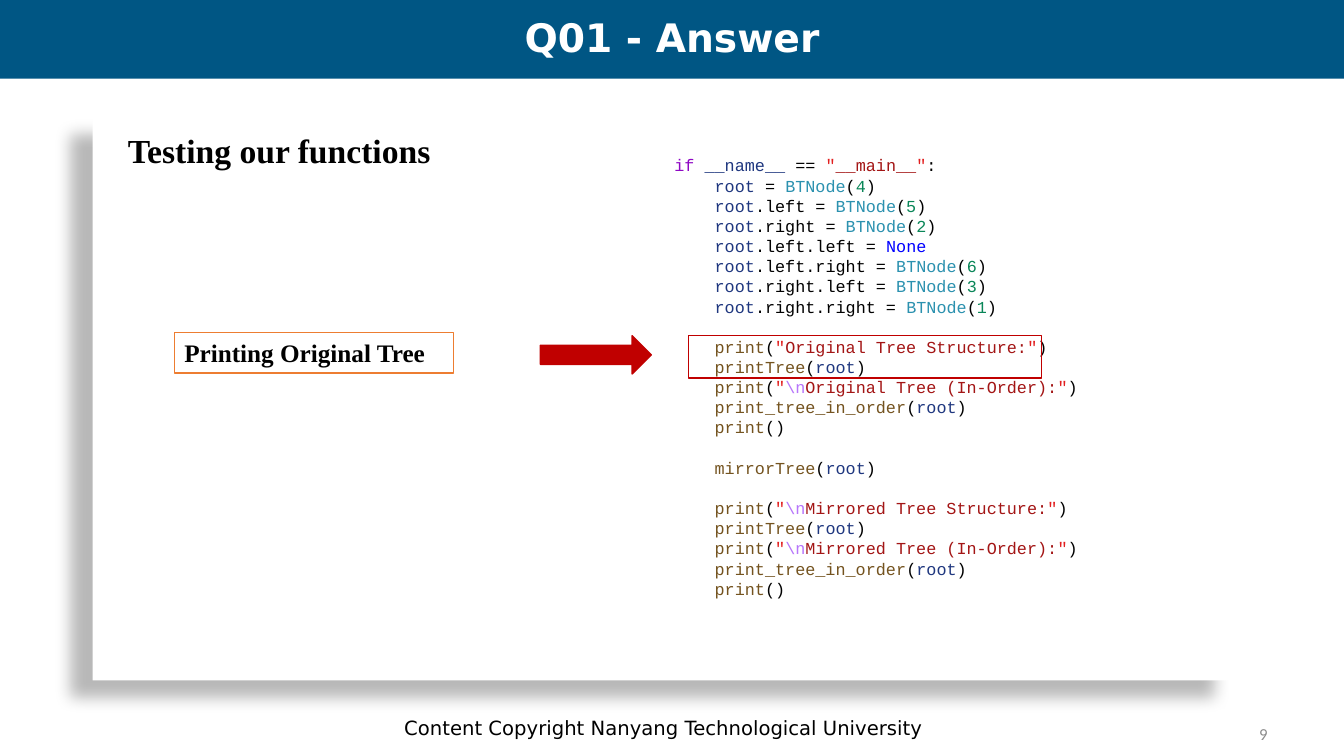
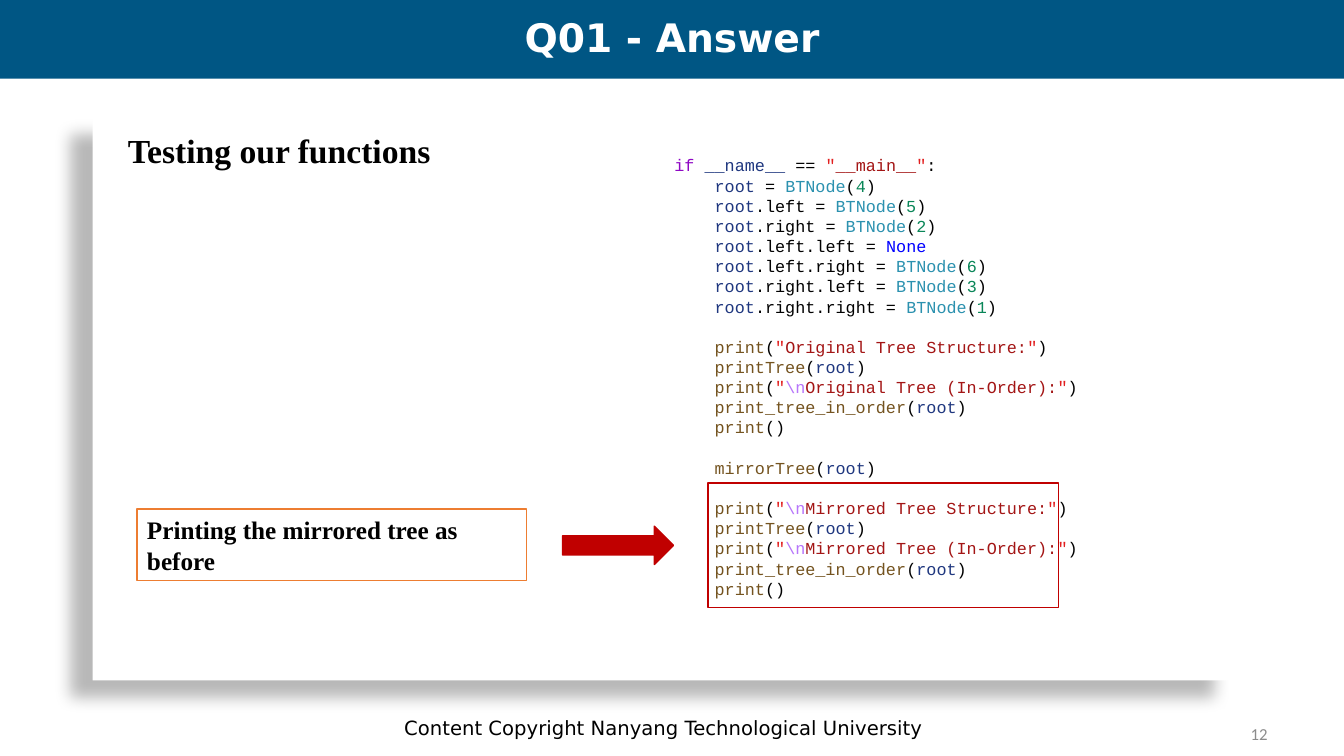
import dataclasses

import lxml.etree
import pptx
import pptx.dml.color
import pptx.enum.shapes
import pptx.enum.text
import pptx.oxml.ns
import pptx.util

SCALE = 9144  # EMU in one px, 100 px to the inch
KIND = pptx.enum.shapes.MSO_SHAPE
ALIGN = pptx.enum.text.PP_ALIGN
ANCHOR = pptx.enum.text.MSO_ANCHOR


@dataclasses.dataclass(frozen=True)
class Theme:
    band: str = "005684"
    white: str = "FFFFFF"
    ink: str = "000000"
    mute: str = "8C8C8C"
    edge: str = "ED7D31"
    mark: str = "C00000"
    key: str = "8F08C4"
    var: str = "1F377F"
    kind: str = "2B91AF"
    num: str = "098658"
    const: str = "0000FF"
    func: str = "74531F"
    quote: str = "E21F1F"
    text: str = "A31515"
    escape: str = "B776FB"
    sans: str = "DejaVu Sans"
    serif: str = "Times New Roman"
    mono: str = "Courier New"
    plain: str = "Calibri"
    title: int = 28
    head: int = 24
    label: int = 18
    foot: int = 14
    small: int = 12
    pitch: float = 14.4  # code line height


THEME = Theme()


def emu(box):
    return [pptx.util.Emu(px * SCALE) for px in box]


def rgb(code):
    return pptx.dml.color.RGBColor.from_string(code)


def add_run(para, text, font, size, color, bold=False):
    run = para.add_run()
    run.text = text
    run.font.name = font
    run.font.size = pptx.util.Pt(size)
    run.font.color.rgb = rgb(color)
    run.font.bold = bold


def add_text(slide, box, anchor=ANCHOR.MIDDLE):
    """Add an empty wrapping text box and return its frame."""
    frame = slide.shapes.add_textbox(*emu(box)).text_frame
    frame.word_wrap = True
    frame.vertical_anchor = anchor
    return frame


def add_line(slide, box, align, *style, anchor=ANCHOR.MIDDLE):
    """Add a text box that holds one run."""
    para = add_text(slide, box, anchor).paragraphs[0]
    para.alignment = align
    add_run(para, *style)
    return para


def add_shape(slide, kind, box, fill=None, line=None):
    shape = slide.shapes.add_shape(kind, *emu(box))
    shape.shadow.inherit = False
    if fill:
        shape.fill.solid()
        shape.fill.fore_color.rgb = rgb(fill)
    else:
        shape.fill.background()
    if line:
        shape.line.color.rgb = rgb(line)
        shape.line.width = pptx.util.Pt(1)
    else:
        shape.line.fill.background()
    return shape


def cast_shadow(shape, blur, dist, angle, alpha):
    tag = pptx.oxml.ns.qn
    effects = shape._element.spPr.find(tag("a:effectLst"))
    outer = lxml.etree.SubElement(
        effects, tag("a:outerShdw"), blurRad=str(pptx.util.Pt(blur)),
        dist=str(pptx.util.Pt(dist)), dir=str(angle * 60000),
        algn="tl", rotWithShape="0")
    color = lxml.etree.SubElement(outer, tag("a:srgbClr"), val=THEME.ink)
    lxml.etree.SubElement(color, tag("a:alpha"), val=str(alpha * 1000))


def add_frame(slide, box, number):
    """Add the panel, title band and footer within the slide box."""
    left, top, width, height = box
    panel = add_shape(slide, KIND.RECTANGLE,
                      (left + 92, top + 117, 1133, 558), THEME.white)
    cast_shadow(panel, 11.8, 19.7, 141, 28)
    add_shape(slide, KIND.RECTANGLE, (left, top, width, 78), THEME.band)
    title = add_line(slide, (left, top + 4, width, 71), ALIGN.CENTER,
                     "Q01 - Answer", THEME.sans, THEME.title, THEME.white, True)
    title.line_spacing = 0.9
    base = top + height
    add_line(slide, (left + 179, base - 48, 958, 40), ALIGN.CENTER,
             "Content Copyright Nanyang Technological University",
             THEME.sans, THEME.foot, THEME.ink)
    add_line(slide, (left + 956, base - 42, 311, 40), ALIGN.RIGHT,
             str(number), THEME.plain, THEME.small, THEME.mute)


def node(name, value):
    """Return the runs that set one tree node."""
    return [("var", "root"), ("ink", f"{name} = "), ("kind", "BTNode"),
            ("ink", "("), ("num", value), ("ink", ")")]


def call(name, arg=()):
    if not arg:
        return [("func", name), ("ink", "()")]
    return [("func", name), ("ink", "("), *arg, ("ink", ")")]


def say(text, *lead):
    return call("print", [("quote", '"'), *lead, ("text", text), ("quote", '"')])


def show(state, *lead):
    """Return the code lines that print the tree in one state."""
    root = [("var", "root")]
    return [say(f"{state} Tree Structure:", *lead),
            call("printTree", root),
            say(f"{state} Tree (In-Order):", ("escape", r"\n")),
            call("print_tree_in_order", root),
            call("print")]


def code_parts():
    """Return the blocks of code that stand one line apart."""
    start = [("key", "if "), ("var", "__name__"), ("ink", " == "),
             ("quote", '"'), ("text", "__main__"), ("quote", '"'), ("ink", ":")]
    build = [node("", "4"), node(".left", "5"), node(".right", "2"),
             [("var", "root"), ("ink", ".left.left = "), ("const", "None")],
             node(".left.right", "6"), node(".right.left", "3"),
             node(".right.right", "1")]
    body = [[("ink", "    "), *row] for row in build]
    rest = [show("Original"),
            [call("mirrorTree", [("var", "root")])],
            show("Mirrored", ("escape", r"\n"))]
    return [[start, *body],
            *[[[("ink", "    "), *row] for row in part] for part in rest]]


def add_code(slide, box):
    frame = add_text(slide, box, ANCHOR.TOP)
    pitch = pptx.util.Pt(THEME.pitch)
    for order, part in enumerate(code_parts()):
        for index, row in enumerate(part):
            first = order == index == 0
            para = frame.paragraphs[0] if first else frame.add_paragraph()
            para.line_spacing = pitch
            if order and not index:
                para.space_before = pitch
            for tone, text in row:
                add_run(para, text, THEME.mono, THEME.small, getattr(THEME, tone))


def add_label(slide, box, text):
    frame = add_shape(slide, KIND.RECTANGLE, box, line=THEME.edge).text_frame
    frame.word_wrap = True
    frame.vertical_anchor = ANCHOR.MIDDLE
    para = frame.paragraphs[0]
    para.alignment = ALIGN.LEFT
    add_run(para, text, THEME.serif, THEME.label, THEME.ink, True)


def add_test(deck, number, text, label, arrow, mark):
    """Add a slide that points from a label to marked code lines."""
    slide = deck.slides.add_slide(deck.slide_layouts[6])
    add_frame(slide, (0, 0, 1333, 750), number)
    add_code(slide, (659, 149, 496, 454))
    add_line(slide, (117, 124, 371, 50), ALIGN.LEFT, "Testing our functions",
             THEME.serif, THEME.head, THEME.ink, True, anchor=ANCHOR.TOP)
    add_label(slide, label, text)
    add_shape(slide, KIND.RIGHT_ARROW, (*arrow, 110, 38), THEME.mark, THEME.mark)
    add_shape(slide, KIND.RECTANGLE, mark, line=THEME.mark)


def main():
    deck = pptx.Presentation()
    deck.slide_width, deck.slide_height = emu((1333, 750))
    add_test(deck, 9, "Printing Original Tree",
             (173, 330, 277, 40), (536, 333), (683, 333, 350, 42))
    add_test(deck, 12, "Printing the mirrored tree as before",
             (136, 505, 386, 71), (558, 522), (702, 479, 348, 124))
    deck.save("out.pptx")


if __name__ == "__main__":
    main()
